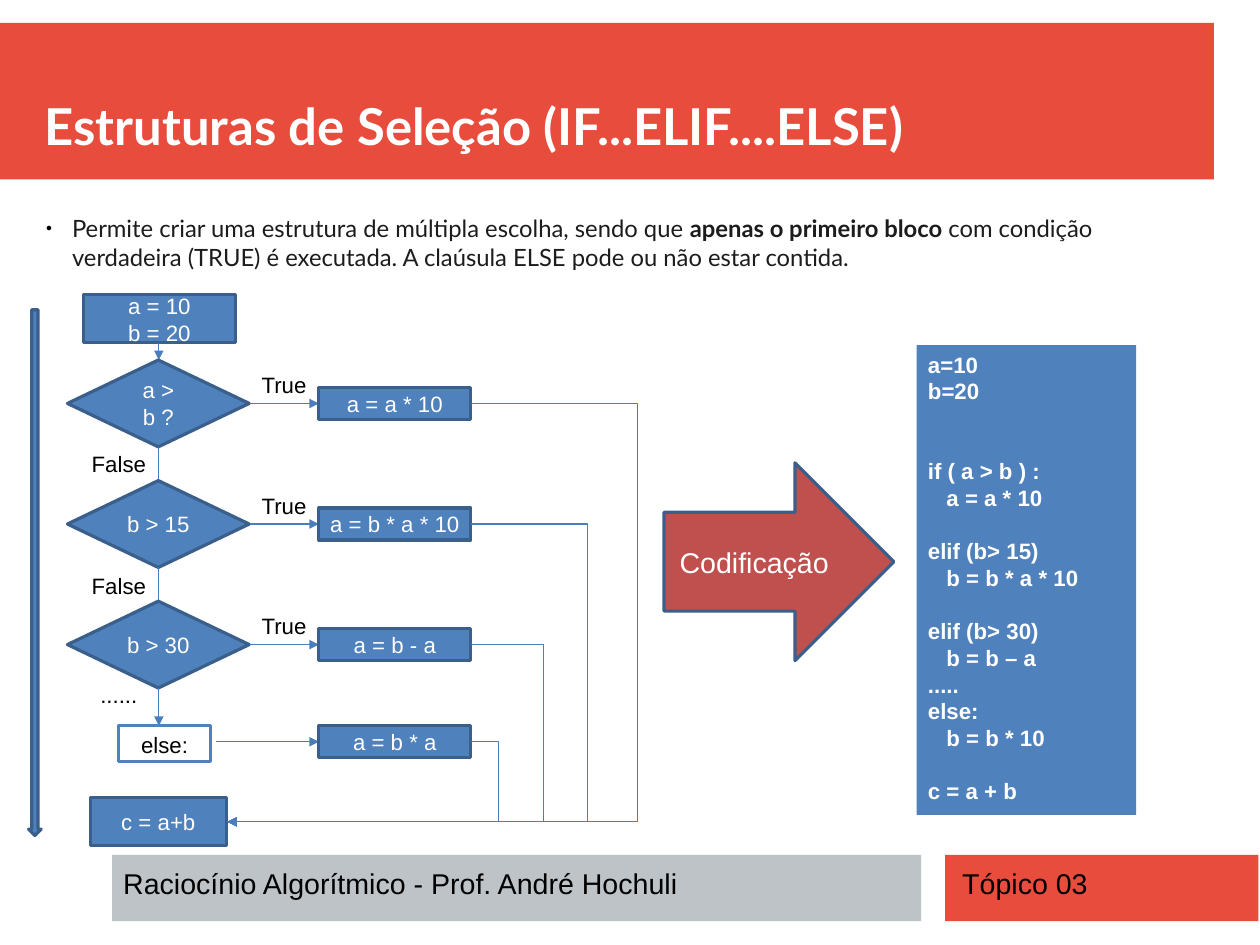
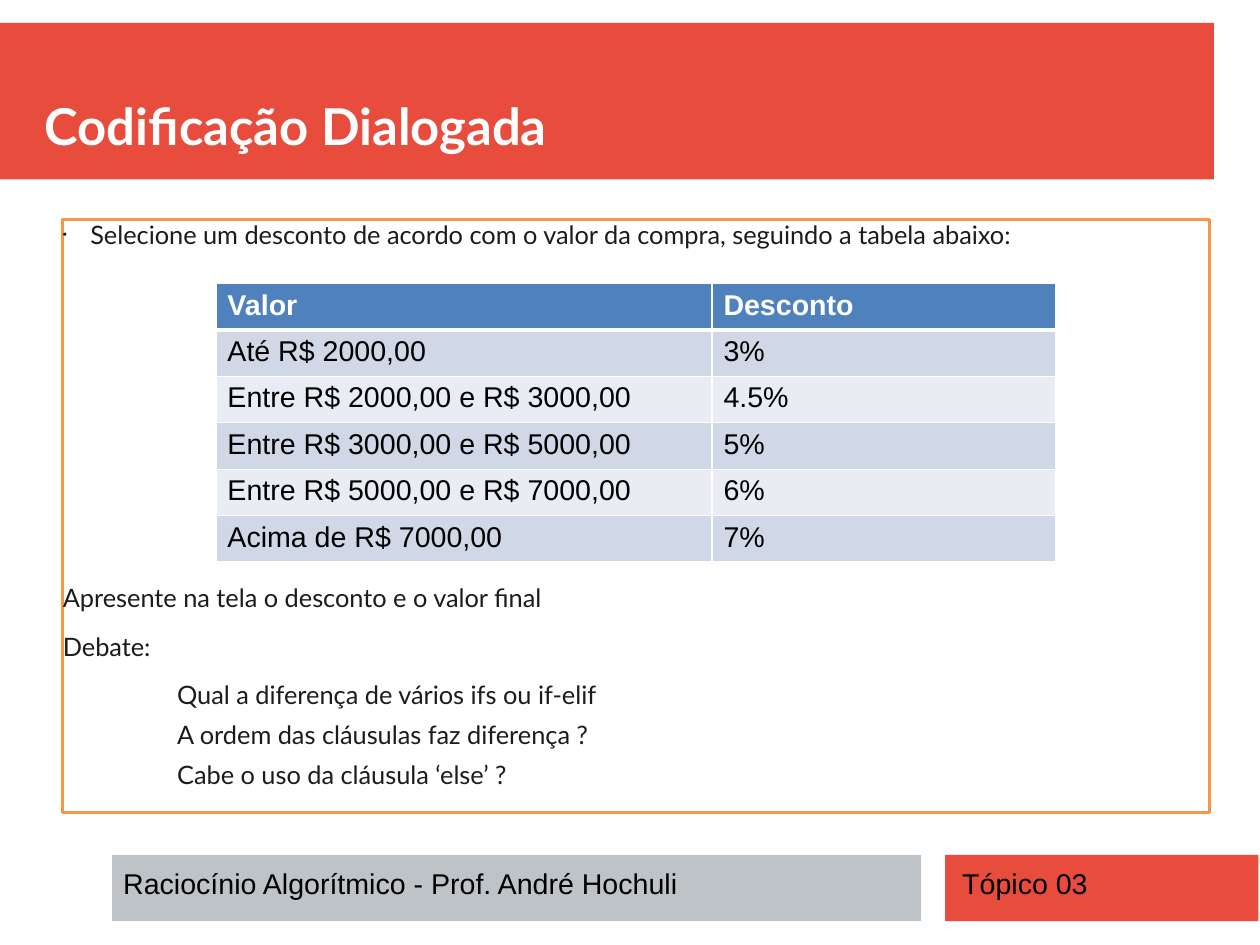
from lxml import etree
from pptx import Presentation
from pptx.dml.color import RGBColor
from pptx.enum import shapes, text
from pptx.oxml import ns
from pptx.util import Cm, Inches, Pt

INK = {
    "red": "E74C3C", "gray": "BDC3C7", "blue": "4F81BD", "navy": "3A5F8B",
    "wire": "4A7EBB", "brick": "C0504D", "gold": "F79646", "dark": "1C1C1C",
    "black": "000000", "white": "FFFFFF", "odd": "D0D8E7", "even": "E9ECF3",
}
KIND = shapes.MSO_SHAPE
LEFT, MID = text.PP_ALIGN.LEFT, text.PP_ALIGN.CENTER
TOP, CORE, LOW = (text.MSO_ANCHOR.TOP, text.MSO_ANCHOR.MIDDLE,
                  text.MSO_ANCHOR.BOTTOM)
LINE = 16.8


def rgb(name):
    """Return the named colour."""
    return RGBColor.from_string(INK[name])


def sub(node, tag, **attrs):
    """Append a drawing element to a node."""
    return etree.SubElement(node, ns.qn("a:" + tag), attrs)


def put(frame, paras, size=14, color="black", face="Arial", bold=False,
        align=LEFT, anchor=TOP, inset=(0.1, 0.05), after=0):
    """Fill a text frame; a paragraph is a string or (string, bold) runs."""
    frame.word_wrap = True
    frame.auto_size = text.MSO_AUTO_SIZE.NONE
    frame.vertical_anchor = anchor
    frame.margin_left = frame.margin_right = Inches(inset[0])
    frame.margin_top = frame.margin_bottom = Inches(inset[1])
    for i, para in enumerate(paras):
        p = frame.paragraphs[0] if i == 0 else frame.add_paragraph()
        p.alignment = align
        p.space_before, p.space_after = Pt(0), Pt(after)
        for words, heavy in [(para, bold)] if isinstance(para, str) else para:
            run = p.add_run()
            run.text = words
            font = run.font
            font.name, font.size, font.bold = face, Pt(size), heavy
            font.color.rgb = rgb(color)
    return frame.paragraphs


def place(item, x, y, w, h):
    """Move and size a shape, in inches."""
    item.left, item.top = Inches(x), Inches(y)
    item.width, item.height = Inches(w), Inches(h)


def paint(item, fill, line=None):
    """Set the fill and the outline of a shape."""
    item.fill.solid()
    item.fill.fore_color.rgb = rgb(fill)
    if line:
        item.line.color.rgb = rgb(line)
        item.line.width = Pt(2)
    else:
        item.line.fill.background()


def block(slide, at, paras=(), kind=KIND.RECTANGLE, fill="blue", line="navy",
          **form):
    """Add a preset shape with optional text."""
    item = slide.shapes.add_shape(kind, *map(Inches, at))
    item.shadow.inherit = False
    paint(item, fill, line)
    form = {"color": "white", "align": MID, "anchor": CORE, **form}
    put(item.text_frame, paras, **form)
    return item


def label(slide, at, words, **form):
    """Add a text box."""
    put(slide.shapes.add_textbox(*map(Inches, at)).text_frame, [words], **form)


def arrow(slide, x1, y1, x2, y2, rail=None):
    """Add an arrow, bent along a vertical rail when one is given."""
    types = shapes.MSO_CONNECTOR
    item = slide.shapes.add_connector(
        types.STRAIGHT if rail is None else types.ELBOW,
        *map(Inches, (x1, y1, x2, y2)))
    item.line.color.rgb = rgb("wire")
    item.line.width = Pt(0.75)
    sub(item.line._get_or_add_ln(), "tailEnd", type="triangle")
    props = item.element.spPr
    sub(props, "effectLst")
    if rail is not None:
        turn = round((rail - x1) / (x2 - x1) * 100000)
        guides = props.find(ns.qn("a:prstGeom")).get_or_add_avLst()
        sub(guides, "gd", name="adj1", fmla=f"val {turn}")


def indent(para, left, hang=0.0, mark=None):
    """Set the indent of a paragraph and its bullet, if any."""
    props = para._p.get_or_add_pPr()
    props.set("marL", str(Inches(left)))
    props.set("indent", str(Inches(hang)))
    if mark:
        sub(sub(props, "buClr"), "srgbClr", val=INK["black"])
        sub(props, "buSzPct", val="45000")
        sub(props, "buChar", char=mark)
    else:
        sub(props, "buNone")


def bands(slide, layout):
    """Move the coloured bands to the layout, behind all content."""
    spots = [((0, 0.2, 10.62, 1.37), "red"), ((8.27, 7.48, 2.74, 0.58), "red"),
             ((0.98, 7.48, 7.08, 0.58), "gray")]
    for i, (at, fill) in enumerate(spots):
        band = block(slide, at, fill=fill, line=None)
        layout.shapes.element.insert(2 + i, band.element)


def start(deck, layout, title):
    """Add a slide with its title and footer; return it and its body."""
    slide = deck.slides.add_slide(layout)
    head, body = slide.placeholders
    place(head, 0.39, 0.39, 10.22, 0.97)
    put(head.text_frame, [title], size=32, color="white", face="Lato",
        bold=True, anchor=LOW, inset=(0, 0))
    label(slide, (0.98, 7.53, 7.04, 0.39),
          "Raciocínio Algorítmico - Prof. André Hochuli", size=18)
    label(slide, (8.32, 7.53, 2.49, 0.39), "Tópico 03", size=18)
    return slide, body


def flow(slide):
    """Draw the flow chart of the selection."""
    step, end, gap = 2.79, (1.99, 7.19), 1.055
    block(slide, (0.73, 2.58, 1.33, 0.42), ["a = 10", "b = 20"])
    arrow(slide, 1.39, 3, 1.39, 3.15)
    block(slide, (0.79, 6.98, 1.19, 0.42), ["c = a+b"])
    tests = [("a > b ?", "False", 0.36, 0.42), ("b > 15", "False", 0.37, 0.42),
             ("b > 30", "......", 0.27, 0.33)]
    for i, (test, no, drop, fall) in enumerate(tests):
        y = 3.53 + gap * i
        block(slide, (0.59, y - 0.38, 1.59, 0.76), [test], kind=KIND.DIAMOND)
        arrow(slide, 2.19, y, step, y)
        arrow(slide, 1.39, y + 0.38, 1.39, y + 0.38 + fall)
        label(slide, (2.16, y - 0.33, 0.65, 0.28), "True", align=MID)
        label(slide, (0.64, y + drop, 0.8, 0.25), no, align=MID)
    block(slide, (1.04, 6.35, 0.8, 0.31), ["else:"], fill="white", line="blue",
          color="black", anchor=TOP)
    arrow(slide, 1.89, 6.49, step, 6.49)
    acts = [("a = a * 10", 3.53, 5.58), ("a = b * a * 10", 3.53 + gap, 5.14),
            ("a = b - a", 3.53 + 2 * gap, 4.76), ("a = b * a", 6.49, 4.36)]
    for act, y, rail in acts:
        block(slide, (step, y - 0.14, 1.33, 0.28), [act], inset=(0.05, 0.05))
        arrow(slide, step + 1.33, y, *end, rail=rail)
    block(slide, (0.25, 2.71, 0.11, 4.6), kind=KIND.DOWN_ARROW)


def code(slide):
    """Show the coded version; each group is set off by blank lines."""
    groups = [
        (0, ["a=10", "b=20"]),
        (2, ["if ( a > b ) :", "   a = a * 10"]),
        (1, ["elif (b> 15)", "   b = b * a * 10"]),
        (1, ["elif (b> 30)", "   b = b – a", ".....", "else:",
             "   b = b * 10"]),
        (1, ["c = a + b"]),
    ]
    lines = [line for _, group in groups for line in group]
    item = block(slide, (8.02, 3.02, 1.92, 4.11), lines, line=None, bold=True,
                 align=LEFT, anchor=TOP)
    row = 0
    for blank, group in groups:
        item.text_frame.paragraphs[row].space_before = Pt(blank * LINE)
        row += len(group)


def edge(cell, row):
    """Give a cell white borders, thick under the header."""
    props = cell._tc.get_or_add_tcPr()
    wide = {"lnT": row == 1, "lnB": row == 0}
    for side in ("lnL", "lnR", "lnT", "lnB"):
        width = Pt(3 if wide.get(side) else 0.96)
        line = sub(props, side, w=str(width))
        sub(sub(line, "solidFill"), "srgbClr", val=INK["white"])


def fit(cell, words, head):
    """Write the text of a table cell."""
    run = cell.text_frame.paragraphs[0].add_run()
    run.text = words
    run.font.name, run.font.size, run.font.bold = "Arial", Pt(18), head
    run.font.color.rgb = rgb("white" if head else "black")


def grid(slide):
    """Add the table of discounts."""
    rows = [("Valor", "Desconto"), ("Até R$ 2000,00", "3%"),
            ("Entre R$ 2000,00 e R$ 3000,00", "4.5%"),
            ("Entre R$ 3000,00 e R$ 5000,00", "5%"),
            ("Entre R$ 5000,00 e R$ 7000,00", "6%"),
            ("Acima de R$ 7000,00", "7%")]
    at = map(Inches, (1.89, 2.48, 7.35, 2.44))
    table = slide.shapes.add_table(len(rows), 2, *at).table
    for col, width in zip(table.columns, (4.34, 3.01)):
        col.width = Inches(width)
    for r, row in enumerate(rows):
        fill = "blue" if r == 0 else "odd" if r % 2 else "even"
        for c, words in enumerate(row):
            cell = table.cell(r, c)
            edge(cell, r)
            cell.fill.solid()
            cell.fill.fore_color.rgb = rgb(fill)
            fit(cell, words, r == 0)


def choice(slide, body):
    """Build the slide on multiple selection."""
    place(body, 0.39, 1.87, 10.03, 5.11)
    runs = [("Permite criar uma estrutura de múltipla escolha, sendo que ",
             False), ("apenas o primeiro bloco ", True),
            ("com condição verdadeira (TRUE) é executada. A claúsula ELSE "
             "pode ou não estar contida.", False)]
    paras = put(body.text_frame, [runs], size=15, color="dark", face="Lato",
                inset=(0, 0), after=11.4)
    indent(paras[0], 0.24, -0.23, "●")
    flow(slide)
    block(slide, (5.81, 4.05, 2.01, 1.73), ["Codificação"], size=18,
          kind=KIND.RIGHT_ARROW, fill="brick")
    code(slide)


def debate(slide, body):
    """Build the slide with the exercise."""
    place(body, 0.55, 1.92, 10.03, 5.19)
    paint(body, "white", "gold")
    lines = ["Selecione um desconto de acordo com o valor da compra, "
             "seguindo a tabela abaixo:",
             "Apresente na tela o desconto e o valor final", "Debate:",
             "Qual a diferença de vários ifs ou if-elif",
             "A ordem das cláusulas faz diferença ?",
             "Cabe o uso da cláusula ‘else’ ?"]
    paras = put(body.text_frame, lines, size=16, color="dark", face="Lato",
                inset=(0, 0), after=11.4)
    indent(paras[0], 0.24, -0.3, "•")
    paras[1].space_before = Pt(198)
    for para in paras[1:3]:
        indent(para, 0)
    for para in paras[3:]:
        indent(para, 1)
        para.space_after = Pt(6)
    grid(slide)


def main():
    """Build and save the deck."""
    deck = Presentation()
    deck.slide_width, deck.slide_height = Cm(28), Cm(21)
    layout = deck.slide_layouts[1]
    first, body = start(deck, layout,
                        "Estruturas de Seleção (IF...ELIF....ELSE)")
    bands(first, layout)
    choice(first, body)
    debate(*start(deck, layout, "Codificação Dialogada"))
    deck.save("out.pptx")


if __name__ == "__main__":
    main()
